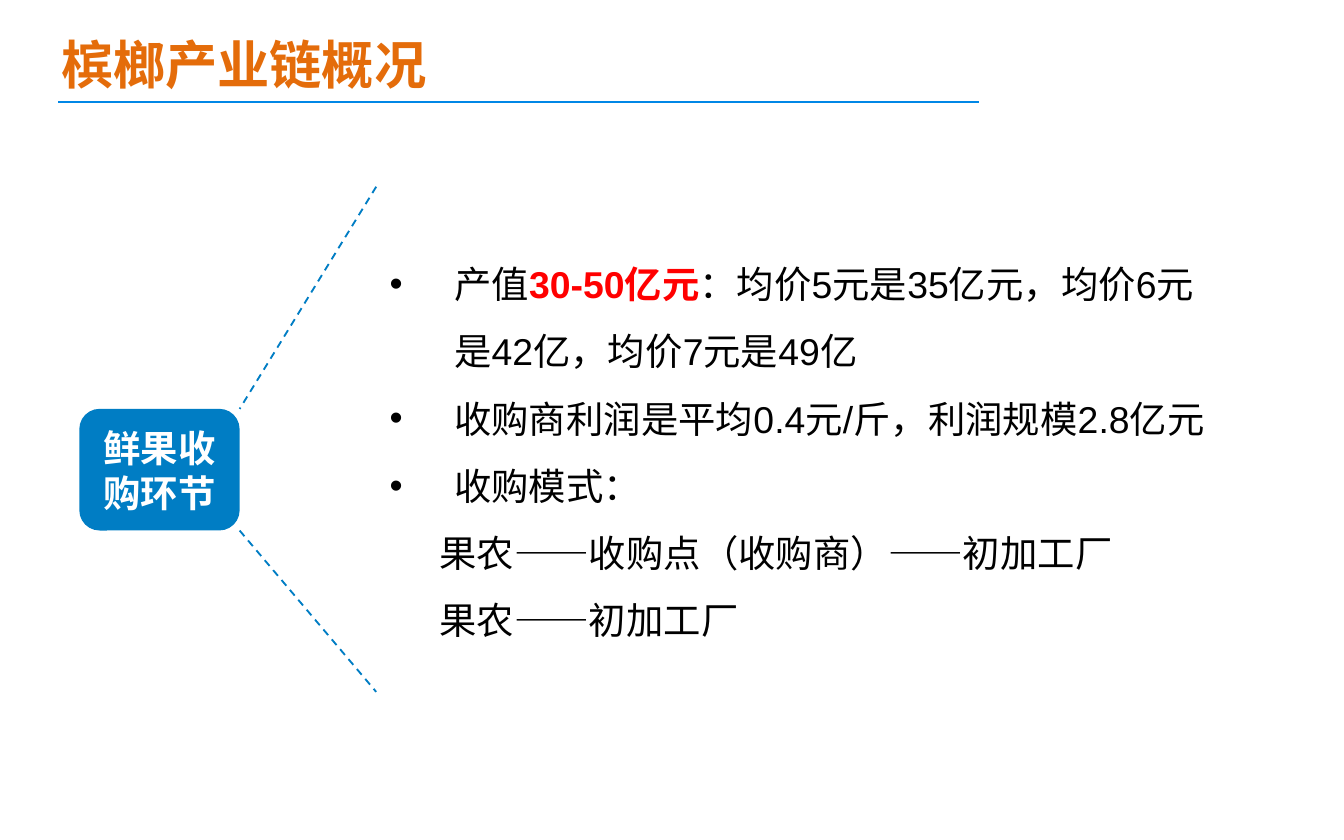
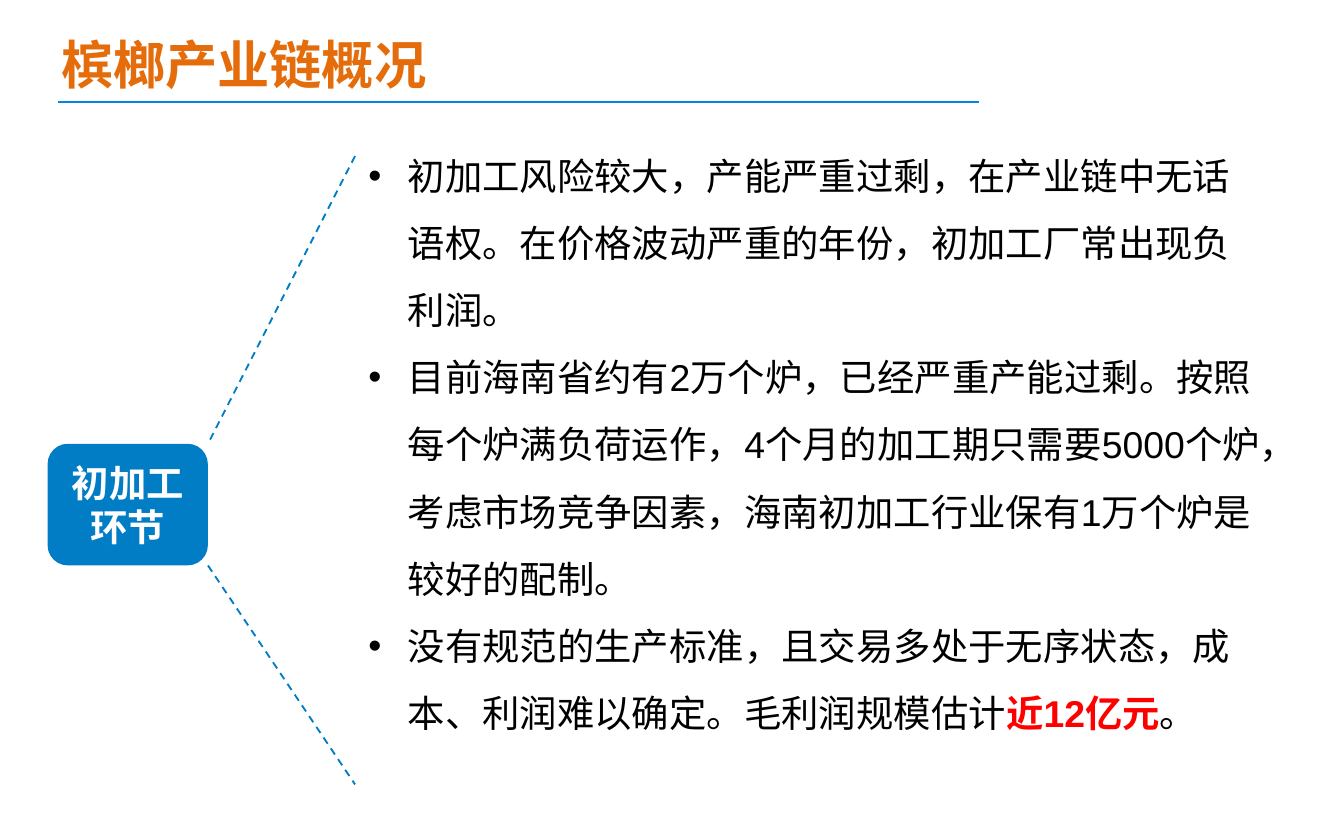
from pptx import Presentation
from pptx.dml.color import RGBColor
from pptx.enum.dml import MSO_LINE
from pptx.enum.shapes import MSO_CONNECTOR, MSO_SHAPE
from pptx.enum.text import MSO_ANCHOR, MSO_AUTO_SIZE, PP_ALIGN
from pptx.oxml.ns import qn
from pptx.util import Cm, Pt
from lxml.etree import SubElement

# Shared style
BLUE = RGBColor(0x00, 0x7D, 0xC4)
RULE_BLUE = RGBColor(0x00, 0x87, 0xE6)
ORANGE = RGBColor(0xE4, 0x6C, 0x0A)
RED = RGBColor(0xFF, 0x00, 0x00)
BLACK = RGBColor(0x00, 0x00, 0x00)
WHITE = RGBColor(0xFF, 0xFF, 0xFF)
CJK_FONT = "Noto Sans CJK SC"
LABEL_W, LABEL_H = 3.03, 2.3


class Deck:
    def __init__(self):
        self.prs = Presentation()
        self.prs.slide_width, self.prs.slide_height = Cm(25.4), Cm(15.88)
        self.s = None

    def place(self, sp, left, top, width, height):
        sp.left, sp.top, sp.width, sp.height = map(Cm, (left, top, width, height))

    def frame(self, sp, anchor):
        tf = sp.text_frame
        tf.word_wrap = True
        tf.auto_size = MSO_AUTO_SIZE.NONE
        tf.vertical_anchor = anchor
        return tf

    def style(self, r, font, size, color, bold):
        r.font.name, r.font.size, r.font.bold = font, Pt(size), bold
        r.font.color.rgb = color
        SubElement(r.font._element, qn("a:ea"), typeface=CJK_FONT)

    def line(self, x1, y1, x2, y2, color, dash=None):
        c = self.s.shapes.add_connector(MSO_CONNECTOR.STRAIGHT, *map(Cm, (x1, y1, x2, y2)))
        c.line.color.rgb, c.line.width = color, Pt(1)
        if dash:
            c.line.dash_style = dash
        SubElement(c._element.spPr, qn("a:effectLst"))

    def slide(self, title):
        """Start a slide with its title and the rule below it."""
        self.s = self.prs.slides.add_slide(self.prs.slide_layouts[1])
        sp = self.s.shapes.title
        self.place(sp, 0.9, 0.48, 17.6, 1.45)
        tf = self.frame(sp, MSO_ANCHOR.MIDDLE)
        tf.text = title
        p = tf.paragraphs[0]
        p.alignment, p.line_spacing = PP_ALIGN.LEFT, Pt(34)
        self.style(p.runs[0], "Calibri", 28, ORANGE, True)
        self.line(1.1, 1.93, 18.5, 1.93, RULE_BLUE)

    def label(self, text, left, top, fan_x, fan_top, fan_bottom):
        """Rounded label with dashed lines fanning out to the list."""
        right = left + LABEL_W
        self.line(right, top + LABEL_H, fan_x, fan_bottom, BLUE, MSO_LINE.DASH)
        self.line(fan_x, fan_top, right, top, BLUE, MSO_LINE.DASH)
        sp = self.s.shapes.add_shape(MSO_SHAPE.ROUNDED_RECTANGLE, Cm(left), Cm(top),
                                     Cm(LABEL_W), Cm(LABEL_H))
        sp.shadow.inherit = False
        sp.fill.solid()
        sp.fill.fore_color.rgb = BLUE
        sp.line.fill.background()
        tf = self.frame(sp, MSO_ANCHOR.MIDDLE)
        tf.text = text
        p = tf.paragraphs[0]
        p.alignment, p.line_spacing = PP_ALIGN.CENTER, Pt(24)
        self.style(p.runs[0], CJK_FONT, 20, WHITE, True)

    def body(self, box, items, indent, plain=()):
        """Bulleted items, then plain lines; text between bars is highlighted."""
        sp = self.s.placeholders[1]
        self.place(sp, *box)
        tf = self.frame(sp, MSO_ANCHOR.TOP)
        for i, item in enumerate([*items, *plain]):
            p = tf.add_paragraph() if i else tf.paragraphs[0]
            pPr = p._p.get_or_add_pPr()
            if i < len(items):
                pPr.set("marL", str(Cm(indent)))
                pPr.set("indent", str(-Cm(indent)))
                SubElement(pPr, qn("a:buChar"), char="•")
            else:
                pPr.set("marL", str(Cm(0.94)))
                pPr.set("indent", "0")
                SubElement(pPr, qn("a:buNone"))
            p.alignment, p.line_spacing, p.space_before = PP_ALIGN.LEFT, Pt(36), Pt(0)
            for k, part in enumerate(item.split("|")):
                r = p.add_run()
                r.text = part
                marked = k % 2 == 1
                self.style(r, "Arial", 20, RED if marked else BLACK, marked)


def main():
    deck = Deck()

    # Fresh fruit purchasing
    deck.slide("槟榔产业链概况")
    deck.label("鲜果收购环节", 1.5, 7.73, fan_x=7.11, fan_top=3.53, fan_bottom=13.08)
    deck.body((7.11, 4.39, 16.41, 7.95), [
        "产值|30-50亿元|：均价5元是35亿元，均价6元是42亿，均价7元是49亿",
        "收购商利润是平均0.4元/斤，利润规模2.8亿元",
        "收购模式：",
    ], indent=1.22, plain=[
        "果农——收购点（收购商）——初加工厂",
        "果农——初加工厂",
    ])

    # Primary processing
    deck.slide("槟榔产业链概况")
    deck.label("初加工环节", 0.9, 8.39, fan_x=6.71, fan_top=2.95, fan_bottom=14.83)
    deck.body((6.71, 2.34, 17.4, 12.65), [
        "初加工风险较大，产能严重过剩，在产业链中无话语权。在价格波动严重的年份，"
        "初加工厂常出现负利润。",
        "目前海南省约有2万个炉，已经严重产能过剩。按照每个炉满负荷运作，"
        "4个月的加工期只需要5000个炉，考虑市场竞争因素，"
        "海南初加工行业保有1万个炉是较好的配制。",
        "没有规范的生产标准，且交易多处于无序状态，成本、利润难以确定。"
        "毛利润规模估计|近12亿元|。",
    ], indent=0.74)

    deck.prs.save("out.pptx")


if __name__ == "__main__":
    main()
